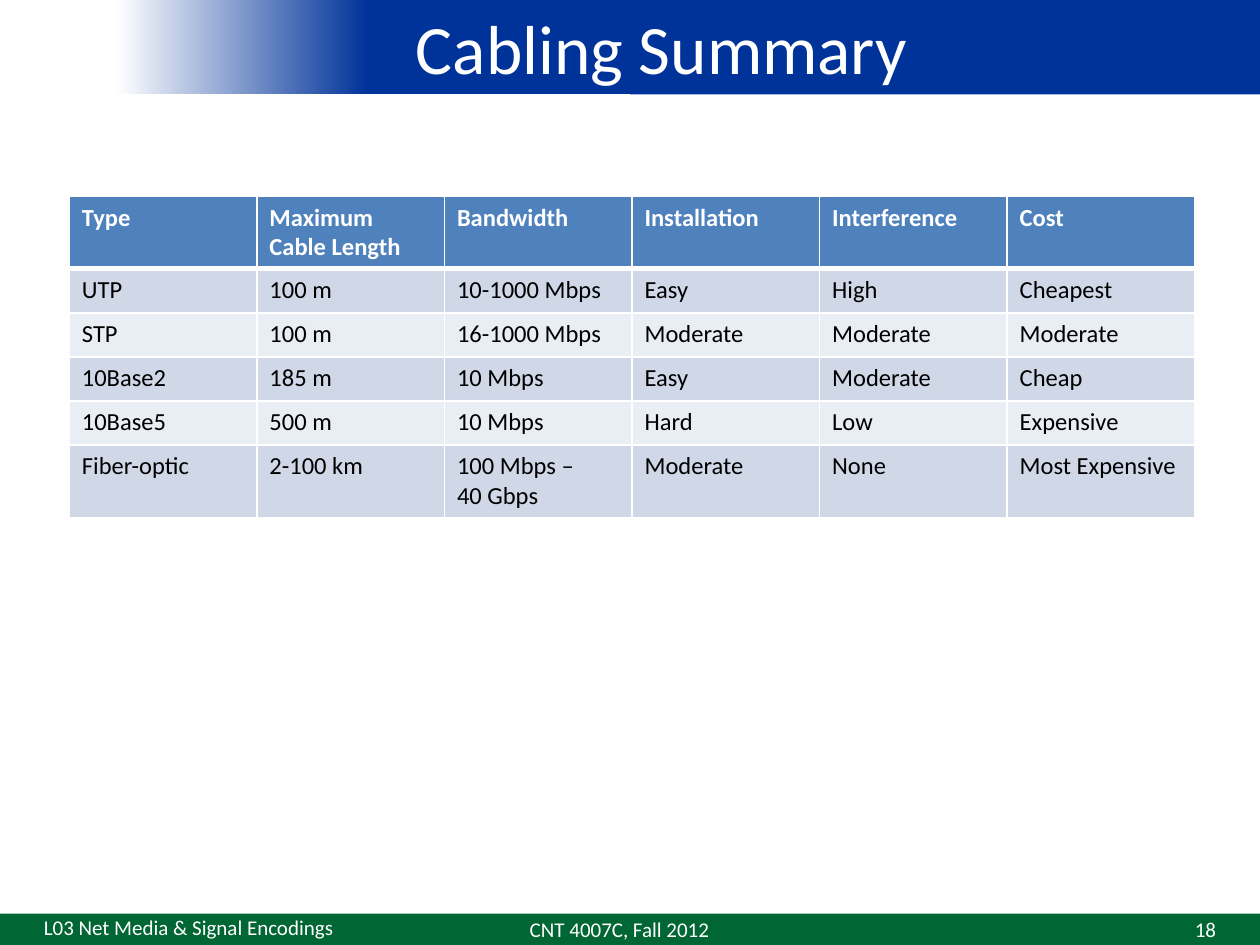
from dataclasses import dataclass
from pptx import Presentation
from pptx.dml.color import RGBColor as RGB
from pptx.enum.shapes import MSO_SHAPE as Shape
from pptx.enum.text import MSO_ANCHOR as Anchor, MSO_AUTO_SIZE as Auto, PP_ALIGN as Align
from pptx.oxml import parse_xml
from pptx.oxml.ns import nsdecls
from pptx.util import Pt


@dataclass(frozen=True)
class Theme:
    face: str = "Calibri"
    white: str = "FFFFFF"
    black: str = "000000"
    blue: str = "003399"
    green: str = "006633"
    head: str = "4F81BD"
    bands: tuple = ("D0D8E8", "E9EDF4")
    title: float = 39.6
    body: float = 14
    foot: float = 12


@dataclass(frozen=True)
class Box:
    left: float
    top: float
    width: float
    height: float

    def points(self) -> list:
        return [Pt(v) for v in (self.left, self.top, self.width, self.height)]


@dataclass(frozen=True)
class Note:
    text: str
    box: Box
    align: Align


LOOK = Theme()
BANDS = [Box(360, 0, 360, 54), Box(54, 0, 306, 54), Box(0, 522, 720, 18)]
FADE = [(0.49, LOOK.blue), (0.96, LOOK.white)]
HEAD = Box(54, 0, 648, 54)
GRID = Box(39.6, 112.3, 643.2, 181.4)
ROW = 25.2
NOTES = [
    Note("CNT 4007C, Fall 2012", Box(240, 522, 228, 18), Align.CENTER),
    Note("L03 Net Media & Signal Encodings", Box(18, 519.1, 182.2, 20.9), Align.LEFT),
    Note("18", Box(534, 522, 168, 18), Align.RIGHT),
]
DATA = [
    ("Type", "Maximum Cable Length", "Bandwidth", "Installation", "Interference", "Cost"),
    ("UTP", "100 m", "10-1000 Mbps", "Easy", "High", "Cheapest"),
    ("STP", "100 m", "16-1000 Mbps", "Moderate", "Moderate", "Moderate"),
    ("10Base2", "185 m", "10 Mbps", "Easy", "Moderate", "Cheap"),
    ("10Base5", "500 m", "10 Mbps", "Hard", "Low", "Expensive"),
    ("Fiber-optic", "2-100 km", "100 Mbps –\n40 Gbps", "Moderate", "None", "Most Expensive"),
]


def assign(item, form: dict) -> None:
    for key, value in form.items():
        setattr(item, key, value)


def write(frame, text: str, size: float, tint: str, align=Align.LEFT, bold=False) -> None:
    frame.text = text
    form = {"name": LOOK.face, "size": Pt(size), "bold": bold}
    for para in frame.paragraphs:
        para.alignment = align
        assign(para.font, form)
        para.font.color.rgb = RGB.from_string(tint)


def paint(fill, tint: str) -> None:
    fill.solid()
    fill.fore_color.rgb = RGB.from_string(tint)


def band(slide, box: Box, tint: str):
    bar = slide.shapes.add_shape(Shape.RECTANGLE, *box.points())
    bar.shadow.inherit = False
    bar.line.fill.background()
    paint(bar.fill, tint)
    return bar


def fade(bar) -> None:
    bar.fill.gradient()
    bar.fill.gradient_angle = 180
    for stop, (place, tint) in zip(bar.fill.gradient_stops, FADE):
        stop.position = place
        stop.color.rgb = RGB.from_string(tint)


def label(slide, note: Note) -> None:
    frame = slide.shapes.add_textbox(*note.box.points()).text_frame
    assign(frame, {"word_wrap": True, "vertical_anchor": Anchor.MIDDLE})
    write(frame, note.text, LOOK.foot, LOOK.white, note.align)


def edge(cell, sides: dict) -> None:
    props = cell._tc.get_or_add_tcPr()
    for side, width in sides.items():
        props.append(parse_xml(
            f'<a:ln{side} {nsdecls("a")} w="{Pt(width)}"><a:solidFill>'
            f'<a:srgbClr val="{LOOK.white}"/></a:solidFill></a:ln{side}>'))


def table(slide) -> None:
    shape = slide.shapes.add_table(len(DATA), len(DATA[0]), *GRID.points())
    grid = shape.table
    for col in grid.columns:
        col.width = Pt(GRID.width / len(DATA[0]))
    for i, line in enumerate(DATA):
        grid.rows[i].height = Pt(ROW)
        top = i == 0
        fill = LOOK.head if top else LOOK.bands[(i - 1) % 2]
        tint = LOOK.white if top else LOOK.black
        sides = {"L": 1, "R": 1, "T": 3 if i == 1 else 1, "B": 3 if top else 1}
        for j, text in enumerate(line):
            cell = grid.cell(i, j)
            edge(cell, sides)
            paint(cell.fill, fill)
            write(cell.text_frame, text, LOOK.body, tint, bold=top)
    shape.height = Pt(GRID.height)


def heading(slide) -> None:
    title = slide.shapes.title
    slide.shapes._spTree.append(title._element)
    assign(title, dict(zip(("left", "top", "width", "height"), HEAD.points())))
    assign(title.text_frame, {"word_wrap": True, "auto_size": Auto.NONE,
                              "vertical_anchor": Anchor.MIDDLE})
    write(title.text_frame, "Cabling Summary", LOOK.title, LOOK.white, Align.CENTER)


def main() -> None:
    deck = Presentation()
    assign(deck, {"slide_width": Pt(720), "slide_height": Pt(540)})
    slide = deck.slides.add_slide(deck.slide_layouts[5])
    paint(slide.background.fill, LOOK.white)
    bars = [band(slide, box, tint)
            for box, tint in zip(BANDS, (LOOK.blue, LOOK.blue, LOOK.green))]
    fade(bars[1])
    heading(slide)
    table(slide)
    for note in NOTES:
        label(slide, note)
    deck.save("out.pptx")


if __name__ == "__main__":
    main()
